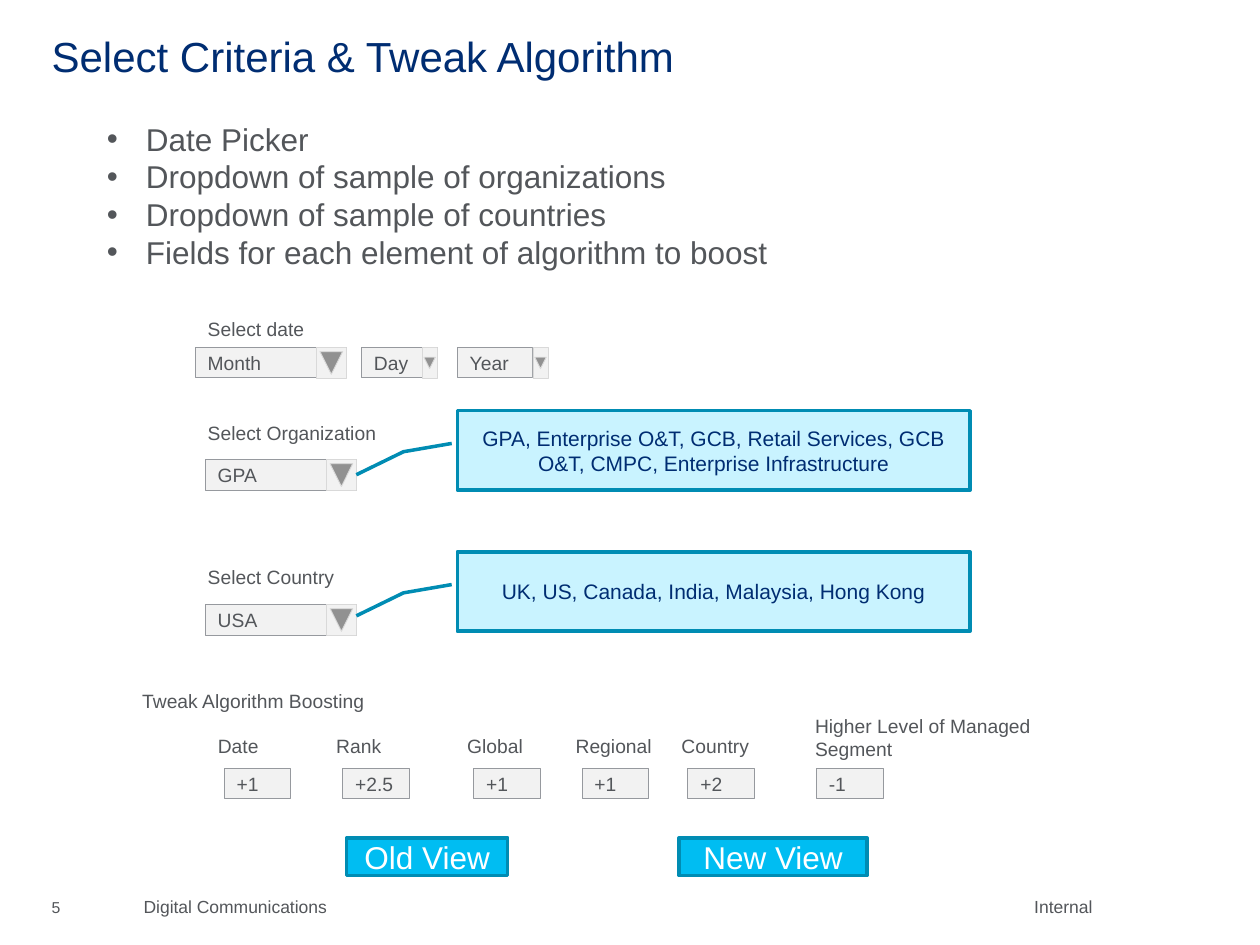
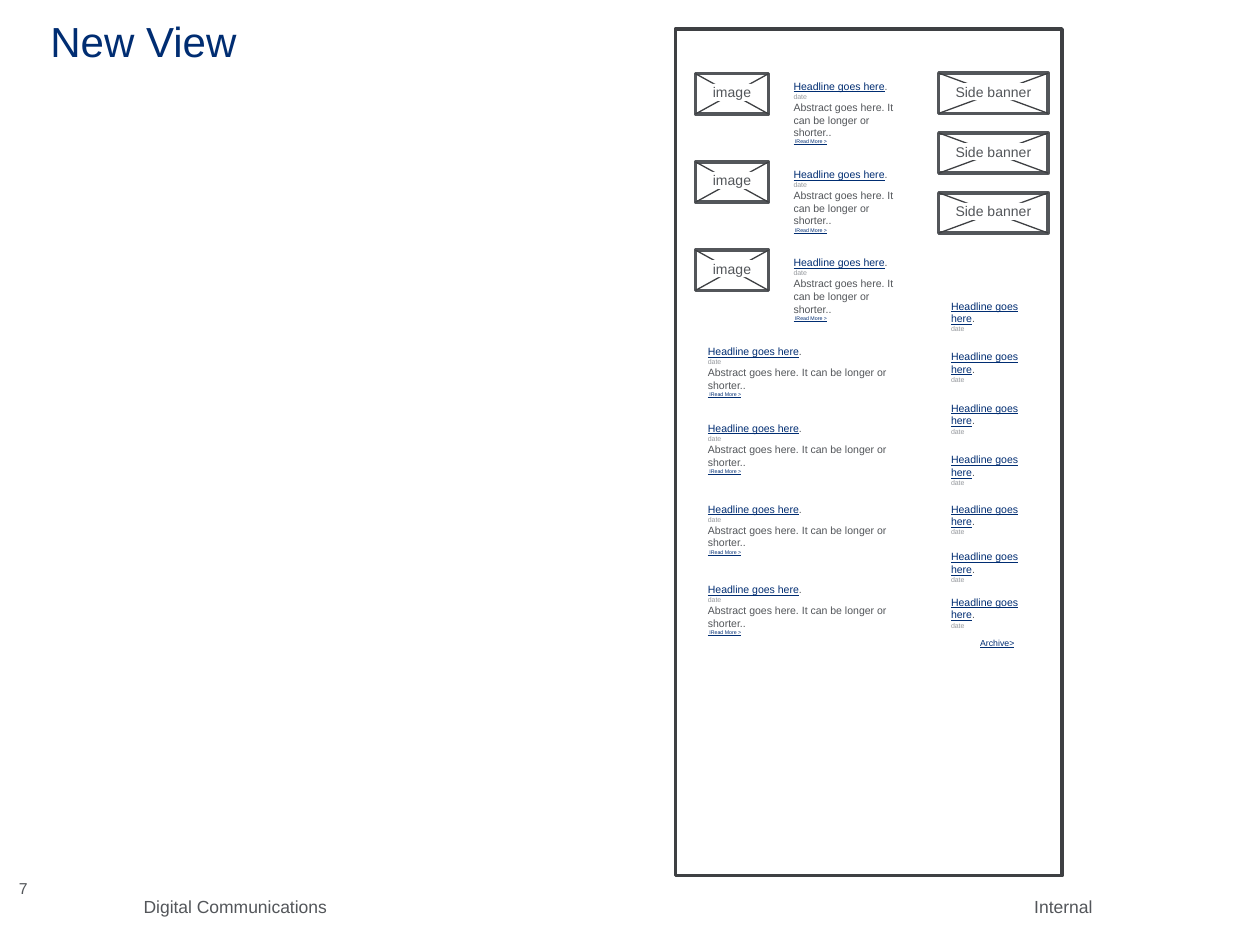
from pptx import Presentation
from pptx.dml.color import RGBColor
from pptx.enum.shapes import MSO_CONNECTOR, MSO_SHAPE
from pptx.enum.text import MSO_ANCHOR, PP_ALIGN
from pptx.oxml.ns import qn
from pptx.util import Inches, Pt
from lxml import etree

RECT = MSO_SHAPE.RECTANGLE
ARROW = MSO_SHAPE.ACTION_BUTTON_BACK_OR_PREVIOUS
CALLOUT = MSO_SHAPE.LINE_CALLOUT_2
STRAIGHT = MSO_CONNECTOR.STRAIGHT
TOP, MIDDLE = MSO_ANCHOR.TOP, MSO_ANCHOR.MIDDLE
LEFT, CENTER, RIGHT = PP_ALIGN.LEFT, PP_ALIGN.CENTER, PP_ALIGN.RIGHT

FONT = "Arial"
NAVY, GREY, MUTED, CHARCOAL = "002D72", "53565A", "96999E", "3E4043"
WHITE, PALE, SILVER = "FFFFFF", "F2F2F2", "D9D9D9"
SKY, ICE, TEAL = "00BDF2", "C9F3FF", "008CB3"
COLUMNS, ROWS = 100, 75
LEADER = (0.413, -0.011, 0.517, -0.105, 0.807, -0.197)

HEADLINE = [("Headline goes here", {"color": NAVY, "underline": True}), (".", {})]
DATE = [("date", {"size": 4, "color": MUTED})]
ABSTRACT = "Abstract goes here. It can be longer or shorter.."
READ_MORE = [(" IRead More >", {"size": 3, "color": NAVY, "underline": True})]
TEASER = [HEADLINE, DATE]
STORY = TEASER + [ABSTRACT, READ_MORE]


def rgb(hex_color):
    return RGBColor.from_string(hex_color)


def write_text(frame, paragraphs, size=11, color=GREY, align=LEFT, anchor=TOP,
               inset=True, bullet=None, underline=False, spacing=None):
    frame.word_wrap = True
    frame.vertical_anchor = anchor
    if not inset:
        frame.margin_left = frame.margin_right = 0
        frame.margin_top = frame.margin_bottom = 0
    if isinstance(paragraphs, str):
        paragraphs = [paragraphs]
    for index, content in enumerate(paragraphs):
        paragraph = frame.add_paragraph() if index else frame.paragraphs[0]
        paragraph.alignment = align
        if spacing:
            paragraph.line_spacing = spacing
        if bullet:
            properties = paragraph._p.get_or_add_pPr()
            properties.set("marL", str(Inches(0.31)))
            properties.set("indent", str(-Inches(0.31)))
            etree.SubElement(properties, qn("a:buFont")).set("typeface", FONT)
            etree.SubElement(properties, qn("a:buChar")).set("char", bullet)
        for words, style in [(content, {})] if isinstance(content, str) else content:
            run = paragraph.add_run()
            run.text = words
            run.font.name = FONT
            run.font.size = Pt(style.get("size", size))
            run.font.color.rgb = rgb(style.get("color", color))
            run.font.underline = style.get("underline", underline)


class Deck:
    def __init__(self):
        self.show = Presentation()
        self.show.slide_width = Inches(10)
        self.show.slide_height = Inches(7.5)
        self.column = self.show.slide_width / COLUMNS
        self.row = self.show.slide_height / ROWS
        self.slide = None

    def place(self, x, y, width, height):
        return (round(x * self.column), round(y * self.row),
                round(width * self.column), round(height * self.row))

    def start(self, title, title_at, number, number_at):
        self.slide = self.show.slides.add_slide(self.show.slide_layouts[6])
        self.text("Digital Communications", 11.4, 71.2, 22.6, 2,
                  size=10, inset=False, spacing=0.95)
        self.text("Internal", 34.1, 71.2, 52.6, 2,
                  size=10, align=RIGHT, inset=False, spacing=0.95)
        self.text(title, *title_at, 90, 8, size=24, color=NAVY, inset=False)
        self.text(number, *number_at, 3.8, 3, size=9, anchor=MIDDLE, inset=False)

    def text(self, content, x, y, width, height, **style):
        box = self.slide.shapes.add_textbox(*self.place(x, y, width, height))
        write_text(box.text_frame, content, **style)

    def shape(self, kind, x, y, width, height, fill=None, line=None, weight=0.5,
              content=None, **style):
        shape = self.slide.shapes.add_shape(kind, *self.place(x, y, width, height))
        shape.shadow.inherit = False
        if fill:
            shape.fill.solid()
            shape.fill.fore_color.rgb = rgb(fill)
        else:
            shape.fill.background()
        if line:
            shape.line.color.rgb = rgb(line)
            shape.line.width = Pt(weight)
        else:
            shape.line.fill.background()
        if content:
            write_text(shape.text_frame, content, **style)
        return shape

    def line(self, x1, y1, x2, y2):
        line = self.slide.shapes.add_connector(
            STRAIGHT, *self.place(x1, y1, x2, y2))
        line.line.color.rgb = rgb(CHARCOAL)
        line.line.width = Pt(0.75)
        etree.SubElement(line._element.spPr, qn("a:effectLst"))

    def field(self, value, x, y, width):
        self.shape(RECT, x, y, width, 2.4, PALE, MUTED, content=value, anchor=MIDDLE)

    def dropdown(self, value, x, y, width, arrow_width, overhang=0):
        self.field(value, x, y, width)
        center = x + width + overhang - arrow_width / 2
        arrow = self.shape(ARROW, center - 1.2, y + 1.2 - arrow_width / 2,
                           2.4, arrow_width, PALE, SILVER)
        arrow.rotation = 270

    def callout(self, content, y):
        callout = self.shape(CALLOUT, 36.3, y, 40.7, 6.3, ICE, TEAL, 2, content,
                             size=12, color=NAVY, align=CENTER, anchor=MIDDLE)
        for index, share in enumerate(LEADER):
            callout.adjustments[index] = share

    def button(self, caption, x, width):
        self.shape(RECT, x, 66.5, width, 3, SKY, TEAL, 2, caption,
                   size=18, color=WHITE, align=CENTER, anchor=MIDDLE)

    def crossed_box(self, caption, x, y, width, caption_width):
        right, bottom = x + width, y + 3.2
        self.shape(RECT, x, y, width, 3.2, WHITE, GREY, 2)
        self.line(x, y, right, bottom)
        self.line(right, y, x, bottom)
        self.shape(RECT, x + (width - caption_width) / 2, y + 0.8, caption_width, 1.35,
                   WHITE, content=caption, size=8, align=CENTER, inset=False)


def build_criteria(deck):
    deck.start("Select Criteria & Tweak Algorithm", (4.1, 2.4), "5", (4.1, 70.5))
    deck.text(["Date Picker", "Dropdown of sample of organizations",
               "Dropdown of sample of countries",
               "Fields for each element of algorithm to boost"],
              7.5, 9, 86, 13.1, size=18, bullet="•")

    deck.text("Select date", 15.5, 24.7, 16.5, 2.9)
    deck.dropdown("Month", 15.5, 27.6, 12, 2.4)
    deck.dropdown("Day", 28.7, 27.6, 6, 1.2)
    deck.dropdown("Year", 36.3, 27.6, 6, 1.2, overhang=1.2)

    for label, choice, y, options, callout_y in (
            ("Select Organization", "GPA", 32.9,
             "GPA, Enterprise O&T, GCB, Retail Services, GCB O&T, CMPC, "
             "Enterprise Infrastructure", 32.6),
            ("Select Country", "USA", 44.4,
             "UK, US, Canada, India, Malaysia, Hong Kong", 43.8)):
        deck.text(label, 15.5, y, 16.5, 2.9)
        deck.dropdown(choice, 16.3, y + 3.6, 12, 2.4)
        deck.callout(options, callout_y)

    deck.text("Tweak Algorithm Boosting", 10.3, 54.2, 24.3, 2.9)
    for label, boost, x in (("Date", "+1", 17.8), ("Rank", "+2.5", 27.2),
                            ("Global", "+1", 37.6), ("Regional", "+1", 46.2),
                            ("Country", "+2", 54.6)):
        deck.text(label, x - 1.5, 57.8, 8.2, 2.9)
        deck.field(boost, x, 61, 5.3)
    deck.text("Higher Level of Managed Segment", 63.7, 56.2, 20.2, 4.7)
    deck.field("-1", 64.8, 61, 5.3)

    deck.button("Old View", 27.5, 12.8)
    deck.button("New View", 53.9, 14.9)


def build_new_view(deck):
    deck.start("New View", (4, 1.2), "7", (1.5, 69))
    deck.shape(RECT, 53.6, 2.3, 30.7, 67.2, line=CHARCOAL, weight=2)
    for index in range(3):
        story_y = 5.85 + 7 * index
        deck.crossed_box("image", 55.2, story_y, 5.8, 4.5)
        deck.text(STORY, 62, story_y, 10.7, 6.2, size=6)
        deck.crossed_box("Side banner", 74.5, 5.8 + 4.75 * index, 8.7, 6.4)
    for y in (26.9, 33, 39.4, 45.8):
        deck.text(STORY, 55.2, y, 17.6, 5.2, size=6)
    for y in (23.3, 27.3, 31.4, 35.5, 39.4, 43.2, 46.8):
        deck.text(TEASER, 74.5, y, 9, 3.7, size=6)
    deck.text("Archive>", 76.8, 50.1, 7.6, 1.8, size=5, color=NAVY, underline=True)


def main():
    deck = Deck()
    build_criteria(deck)
    build_new_view(deck)
    deck.show.save("out.pptx")


if __name__ == "__main__":
    main()
